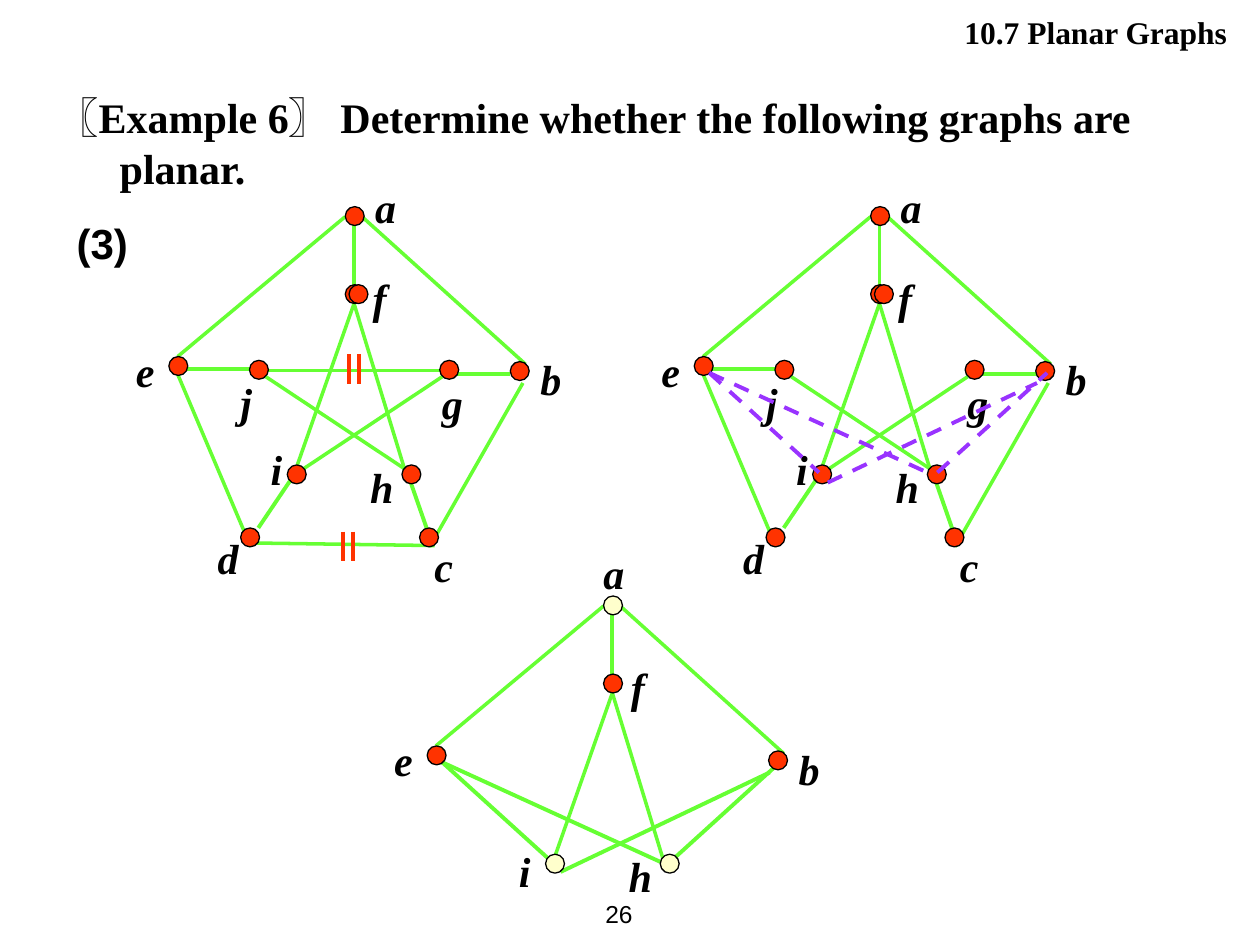
from pptx import Presentation
from pptx.dml.color import RGBColor
from pptx.enum.dml import MSO_LINE
from pptx.enum.shapes import MSO_CONNECTOR as Connector, MSO_SHAPE as Preset
from pptx.enum.text import MSO_ANCHOR as Anchor, MSO_AUTO_SIZE as AutoSize, PP_ALIGN as Align
from pptx.oxml.xmlchemy import OxmlElement
from pptx.util import Inches, Pt

COLUMNS, ROWS = 100, 75
GREEN, RED, CREAM, PURPLE, BLACK = "66FF33", "FF3300", "FFFFCC", "9933FF", "000000"
SERIF, SANS = "Times New Roman", "Arial"
HEADER = {"name": SERIF, "size": Pt(18), "bold": True}
QUESTION = {"name": SERIF, "size": Pt(24), "bold": True}
BRACKET = QUESTION | {"name": SANS}
LETTER = QUESTION | {"italic": True}
PAGE = {"name": SANS, "size": Pt(14), "bold": False}

EDGES = {
    "ed": (14.1, 29.7, 19.9, 43.4, 2), "dc": (20.4, 43.1, 34.5, 43.3, 2),
    "cb": (34.1, 43.4, 41.5, 30.4, 2), "ba": (41.7, 28.9, 28.4, 16.9, 2),
    "ea": (14.1, 28.3, 27.4, 17.2, 2), "fi": (28.1, 24.1, 23.6, 36.9, 2),
    "fh": (28.1, 24.1, 32.1, 37.2, 2), "jg": (21.3, 29.4, 34.9, 29.4, 2),
    "jh": (21.1, 29.9, 32.1, 37.2, 2), "ig": (24.1, 37.2, 35.1, 29.9, 2),
    "af": (28.1, 17.6, 28.1, 22.6, 2.25), "ej": (14.1, 29.3, 21.3, 29.3, 2.25),
    "id": (23.4, 37.6, 20.5, 41.9, 2.25), "hc": (32.6, 38.3, 34.1, 42.6, 2.25),
    "gb": (36.2, 29.7, 40.5, 29.7, 2.25), "ei": (14.6, 29.6, 23.3, 37.5, 2.25),
    "hb": (32.7, 37.5, 41.4, 29.6, 2.25), "eh": (14.6, 29.6, 31.9, 37.5, 2.25),
    "ib": (24, 38.3, 40.6, 30.4, 2.25),
}
NODES = {
    "f": (27.4, 22.6), "F": (27.7, 22.6), "i": (22.8, 36.9), "h": (31.9, 36.9),
    "j": (19.8, 28.6), "g": (34.9, 28.6), "a": (27.4, 16.4), "e": (13.4, 28.3),
    "d": (19.1, 41.9), "c": (33.3, 41.9), "b": (40.5, 28.7),
}
LABELS = {
    "a": (28.8, 13.9), "b": (41.9, 27.6), "c": (33.5, 42.4), "d": (16.3, 41.8),
    "e": (9.8, 26.9), "f": (28.6, 21.1), "g": (34.1, 29.5), "h": (28.4, 36.1),
    "i": (20.5, 34.7), "j": (18.1, 29.4),
}
CONTRACTED_LABELS = LABELS | {"a": (26.4, 12.1), "i": (19.7, 35.7)}
ADDED = ["ei", "hb", "eh", "ib"]
COMPLETE = [edge for edge in EDGES if edge not in ADDED]
REDUCED = [edge for edge in COMPLETE if edge not in ("dc", "jg")]
CONTRACTED = ["ba", "ea", "fi", "fh", "af"] + ADDED
SECOND, THIRD = (41.7, 0), (20.5, 30.9)


def color(value):
    """Return the colour of a hex string."""
    return RGBColor.from_string(value)


class GraphSlide:
    """Holds the grid, the style and the current slide."""

    def __init__(self, presentation):
        """Add a slide with a title and a body."""
        self.column = presentation.slide_width / COLUMNS
        self.row = presentation.slide_height / ROWS
        self.slide = presentation.slides.add_slide(presentation.slide_layouts[1])
        self.shapes = self.slide.shapes

    def box(self, *lengths):
        """Turn alternating columns and rows into slide lengths."""
        units = (self.column, self.row) * (len(lengths) // 2)
        return [round(length * unit) for length, unit in zip(lengths, units)]

    def fill_text(self, shape, runs, align=Align.LEFT, anchor=Anchor.TOP, wrap=True, hanging=0):
        """Fill a shape with one paragraph of formatted runs."""
        frame = shape.text_frame
        margins = dict(margin_left=Inches(0.1), margin_right=Inches(0.1),
                       margin_top=Inches(0.05), margin_bottom=Inches(0.05))
        values = margins | {"word_wrap": wrap, "vertical_anchor": anchor,
                            "auto_size": AutoSize.NONE}
        for name, value in values.items():
            setattr(frame, name, value)
        paragraph = frame.paragraphs[0]
        paragraph.alignment, paragraph.space_before = align, Pt(0)
        properties = paragraph._p.get_or_add_pPr()
        properties.set("marL", str(round(hanging * self.column)))
        properties.set("indent", str(round(-hanging * self.column)))
        properties.append(OxmlElement("a:buNone"))
        for text, style in runs:
            run = paragraph.add_run()
            run.text = text
            for name, value in style.items():
                setattr(run.font, name, value)
            run.font.color.rgb = color(BLACK)

    def placeholder(self, index, place, runs, **options):
        """Move a template placeholder and fill it."""
        shape = self.slide.placeholders[index]
        for name, value in zip(("left", "top", "width", "height"), self.box(*place)):
            setattr(shape, name, value)
        self.fill_text(shape, runs, **options)

    def text(self, place, text, style, **options):
        """Add a text box."""
        self.fill_text(self.shapes.add_textbox(*self.box(*place)), [(text, style)], **options)

    def line(self, ends, width, ink, dash=None):
        """Add a straight line."""
        connector = self.shapes.add_connector(Connector.STRAIGHT, *self.box(*ends))
        connector.line.color.rgb = color(ink)
        connector.line.width = Pt(width)
        if dash:
            connector.line.dash_style = dash
        connector._element.spPr.append(OxmlElement("a:effectLst"))

    def edges(self, names, offset, ink=GREEN, dash=None):
        """Draw the named edges, shifted by an offset."""
        right, down = offset
        for name in names:
            left, top, end_left, end_top, width = EDGES[name]
            self.line((left + right, top + down, end_left + right, end_top + down),
                      width, ink, dash)

    def node(self, left, top, fill):
        """Add a round vertex."""
        shape = self.shapes.add_shape(Preset.FLOWCHART_CONNECTOR, *self.box(left, top, 1.5, 1.5))
        shape.shadow.inherit = False
        shape.fill.solid()
        shape.fill.fore_color.rgb = color(fill)
        shape.line.color.rgb = color(BLACK)
        shape.line.width = Pt(0.75)

    def graph(self, edges, nodes, offset=(0, 0), labels=LABELS, pale=""):
        """Draw one grouped graph with its edges, vertices and letters."""
        self.shapes = self.slide.shapes.add_group_shape().shapes
        right, down = offset
        self.edges(edges, offset)
        for name in nodes:
            left, top = NODES[name]
            self.node(left + right, top + down, CREAM if name in pale else RED)
        for name in filter(str.islower, nodes):
            left, top = labels[name]
            self.text((left + right, top + down, 5, 5), name, LETTER)
        self.shapes = self.slide.shapes

    def cut(self, left, top):
        """Mark an edge as removed with two short strokes."""
        for stroke in (left, left + 0.8):
            self.line((stroke, top, stroke, top + 2.35), 2.25, RED)


def main():
    """Build the slide and save it."""
    presentation = Presentation()
    presentation.slide_width, presentation.slide_height = Inches(10), Inches(7.5)
    page = GraphSlide(presentation)
    page.placeholder(0, (39.8, 0.5, 58.6, 4), [("10.7 Planar Graphs", HEADER)], align=Align.RIGHT)
    question = "Example 6〗 Determine whether the following graphs are planar."
    page.placeholder(1, (3.5, 6.8, 91.4, 9), [("〖", BRACKET), (question, QUESTION)], hanging=5)
    page.text((5.1, 16.8, 91.4, 5), "(3)", BRACKET)
    page.text((44.5, 70, 6.7, 5), "26", PAGE, align=Align.RIGHT, anchor=Anchor.MIDDLE, wrap=False)
    page.graph(COMPLETE, NODES)
    page.cut(27.7, 28.1)
    page.cut(27.2, 42.2)
    page.graph(REDUCED, NODES, SECOND)
    page.edges(ADDED, SECOND, PURPLE, MSO_LINE.DASH)
    page.graph(CONTRACTED, "faeihb", THIRD, CONTRACTED_LABELS, pale="aih")
    presentation.save("out.pptx")


if __name__ == "__main__":
    main()
